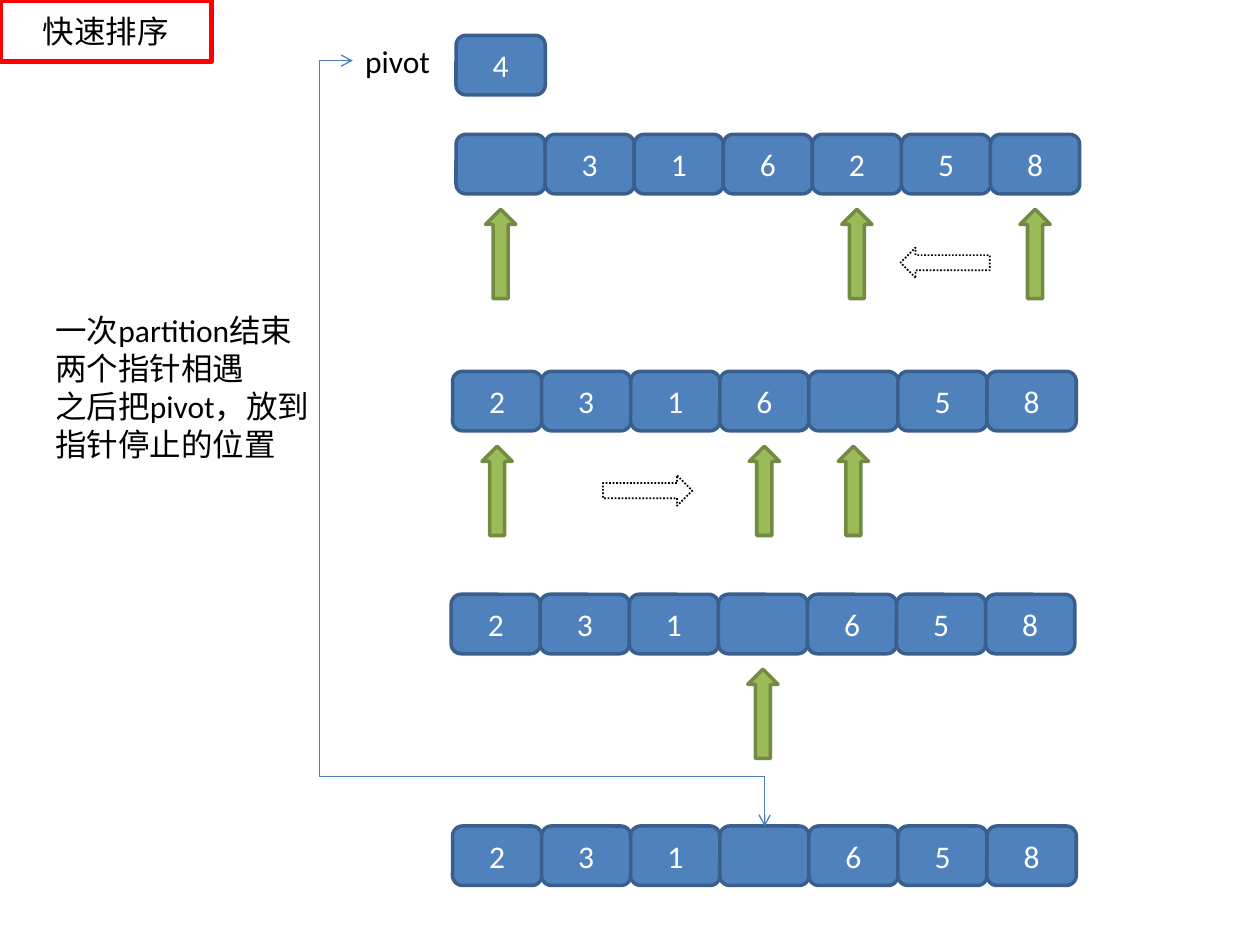
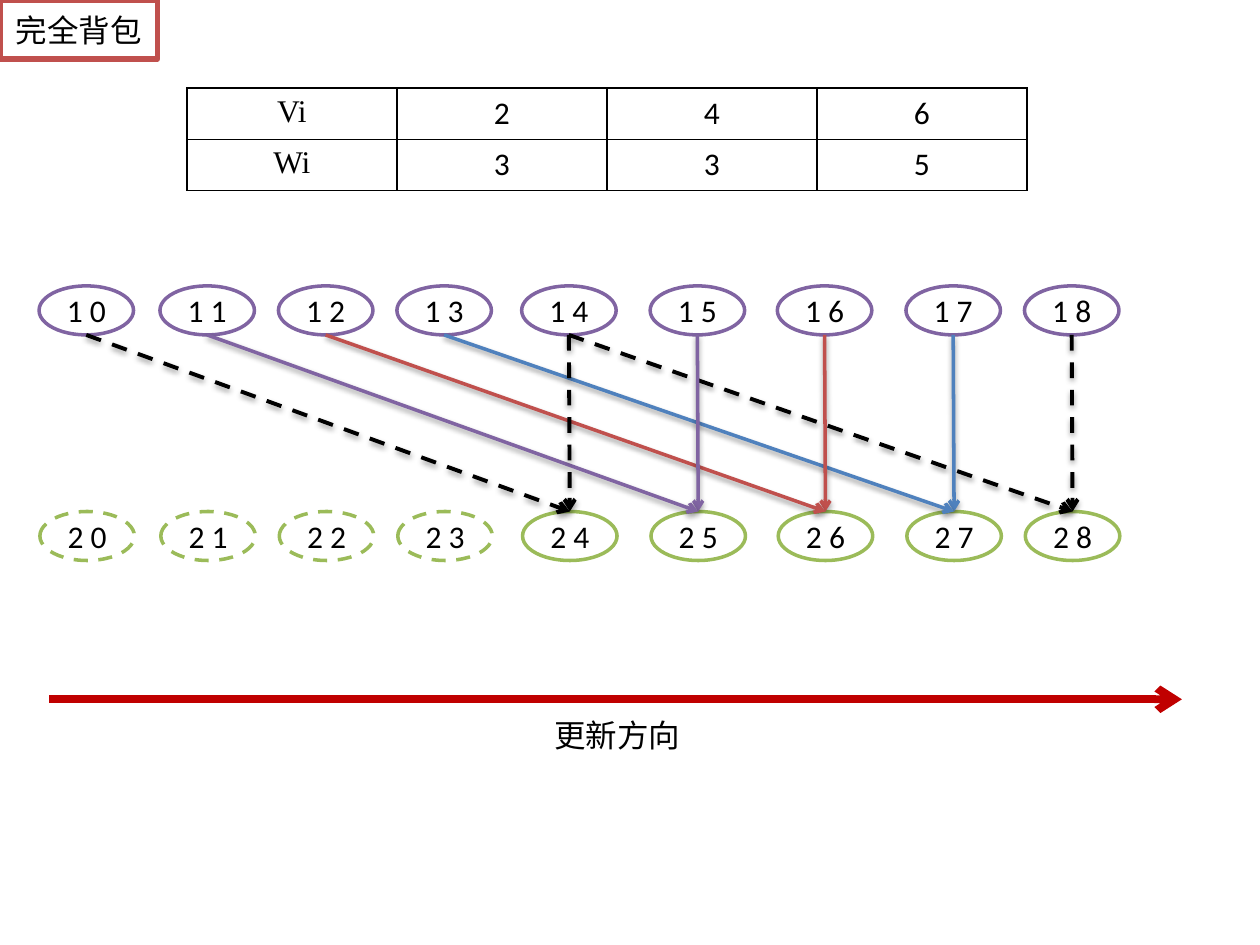
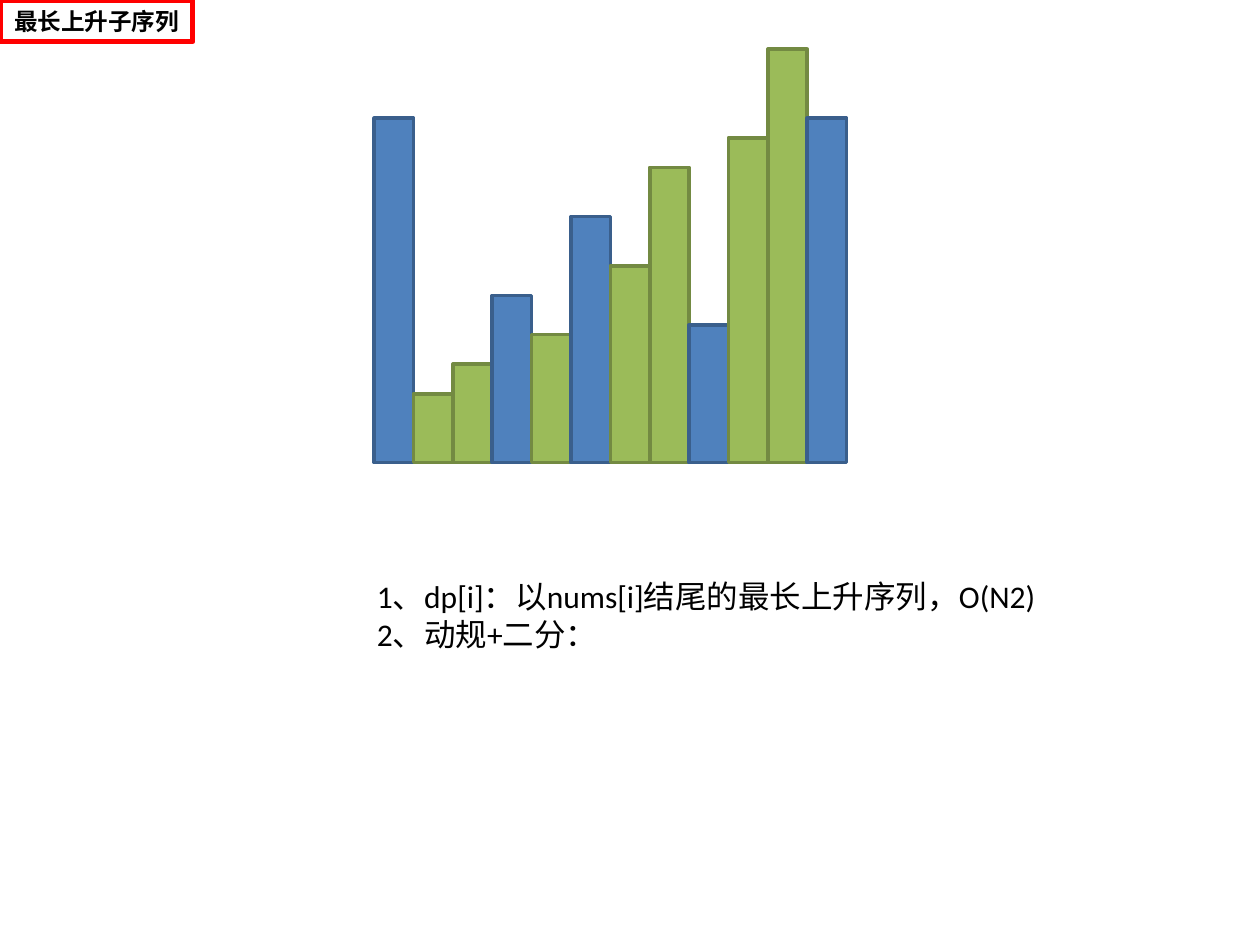
from dataclasses import dataclass

from lxml.etree import SubElement
from pptx import Presentation
from pptx.dml.color import RGBColor
from pptx.enum.dml import MSO_LINE
from pptx.enum.shapes import MSO_CONNECTOR, MSO_SHAPE
from pptx.enum.text import MSO_ANCHOR, MSO_AUTO_SIZE, PP_ALIGN
from pptx.oxml.ns import qn
from pptx.util import Pt


@dataclass(frozen=True)
class Theme:
    black: RGBColor = RGBColor(0, 0, 0)
    white: RGBColor = RGBColor(255, 255, 255)
    red: RGBColor = RGBColor(255, 0, 0)
    dark_red: RGBColor = RGBColor(0xC0, 0, 0)
    brick: RGBColor = RGBColor(0xC0, 0x50, 0x4D)
    blue: RGBColor = RGBColor(0x4F, 0x81, 0xBD)
    blue_edge: RGBColor = RGBColor(0x3A, 0x5F, 0x8C)
    blue_link: RGBColor = RGBColor(0x4B, 0x7E, 0xBC)
    green: RGBColor = RGBColor(0x9B, 0xBB, 0x59)
    green_edge: RGBColor = RGBColor(0x73, 0x8A, 0x42)
    purple: RGBColor = RGBColor(0x80, 0x64, 0xA2)
    latin: str = "Calibri"
    serif: str = "Times New Roman"
    cjk: str = "Noto Sans CJK SC"
    text: float = 18
    small: float = 13.5
    edge: float = 2
    frame: float = 3


T = Theme()
TITLE_AND_BODY, TITLE_ONLY = 1, 5  # layouts of the template

# Sorting row geometry
CELL_W, CELL_H, CELL_STEP = 51, 34, 50.9
POINTER_W, POINTER_H, POINTER_DROP = 17.3, 51, 42.8

# Knapsack state geometry
STATE_W, STATE_H = 54, 28
STATE_LEFTS = (22.3, 91.4, 159.1, 226.8, 298.1, 371.5, 444.2, 517.7, 585.4)
OLD_TOP, NEW_TOP = 163.4, 292.3
ITEM_WEIGHT = 4


# Text
def add_run(paragraph, text, color=T.black, size=T.text, font=T.latin, bold=False):
    run = paragraph.add_run()
    run.text = text
    run.font.name = font
    run.font.size = Pt(size)
    run.font.bold = bold
    run.font.color.rgb = color
    SubElement(run._r.get_or_add_rPr(), qn("a:ea"), typeface=T.cjk)


def place(shape, left, top, width, height):
    shape.left, shape.top = Pt(left), Pt(top)
    shape.width, shape.height = Pt(width), Pt(height)


def set_title(slide, text, width, height, frame_color, **font):
    title = slide.shapes.title
    place(title, 0, 0, width, height)
    title.fill.solid()
    title.fill.fore_color.rgb = T.white
    title.line.color.rgb = frame_color
    title.line.width = Pt(T.frame)
    frame = title.text_frame
    frame.word_wrap = False
    frame.auto_size = MSO_AUTO_SIZE.NONE
    frame.vertical_anchor = MSO_ANCHOR.MIDDLE
    paragraph = frame.paragraphs[0]
    paragraph.alignment = PP_ALIGN.CENTER
    add_run(paragraph, text, **font)


def set_notes_body(slide, lines, left, top, width, height):
    body = slide.placeholders[1]
    place(body, left, top, width, height)
    frame = body.text_frame
    frame.word_wrap = True
    frame.auto_size = MSO_AUTO_SIZE.SHAPE_TO_FIT_TEXT
    for number, line in enumerate(lines):
        paragraph = frame.add_paragraph() if number else frame.paragraphs[0]
        paragraph.space_before = Pt(0)
        properties = paragraph._p.get_or_add_pPr()
        properties.set("marL", "0")
        properties.set("indent", "0")
        SubElement(properties, qn("a:buNone"))
        add_run(paragraph, line)


def add_label(slide, text, left, top, width, height):
    label = slide.shapes.add_textbox(Pt(left), Pt(top), Pt(width), Pt(height))
    label.text_frame.word_wrap = False
    add_run(label.text_frame.paragraphs[0], text)


# Shapes and lines
def add_block(slide, kind, left, top, width, height, fill, edge,
              text="", color=T.black, weight=T.edge, dash=None):
    block = slide.shapes.add_shape(kind, Pt(left), Pt(top), Pt(width), Pt(height))
    block.shadow.inherit = False
    block.fill.solid()
    block.fill.fore_color.rgb = fill
    block.line.color.rgb = edge
    block.line.width = Pt(weight)
    if dash:
        block.line.dash_style = dash
    if text:
        frame = block.text_frame
        frame.word_wrap = False
        frame.vertical_anchor = MSO_ANCHOR.MIDDLE
        frame.paragraphs[0].alignment = PP_ALIGN.CENTER
        add_run(frame.paragraphs[0], text, color)
    return block


def add_arrow(slide, start, end, color, weight, kind=MSO_CONNECTOR.STRAIGHT,
              dash=None, both_ends=False, shadow=False):
    arrow = slide.shapes.add_connector(kind, *map(Pt, start + end))
    arrow.line.color.rgb = color
    arrow.line.width = Pt(weight)
    if dash:
        arrow.line.dash_style = dash
    outline = arrow.line._get_or_add_ln()
    for tag in ("a:headEnd", "a:tailEnd") if both_ends else ("a:tailEnd",):
        SubElement(outline, qn(tag), type="arrow")
    effects = SubElement(arrow._element.spPr, qn("a:effectLst"))
    if shadow:
        outer = SubElement(effects, qn("a:outerShdw"), blurRad="40000",
                           dist="20000", dir="5400000", rotWithShape="0")
        shade = SubElement(outer, qn("a:srgbClr"), val=str(T.black))
        SubElement(shade, qn("a:alpha"), val="38000")
    return arrow


def bend_twice(arrow, across, down):
    """Route an elbow arrow through three bends, at fractions of its size."""
    geometry = arrow._element.spPr.find(qn("a:prstGeom"))
    geometry.set("prst", "bentConnector4")
    guides = geometry.find(qn("a:avLst"))
    if guides is None:
        guides = SubElement(geometry, qn("a:avLst"))
    for name, share in (("adj1", across), ("adj2", down)):
        SubElement(guides, qn("a:gd"), name=name, fmla=f"val {round(share * 100000)}")


# Quick sort parts
def add_number_cell(slide, left, top, number):
    add_block(slide, MSO_SHAPE.ROUNDED_RECTANGLE, left, top, CELL_W, CELL_H,
              T.blue, T.blue_edge, number, T.white)


def add_number_row(slide, left, top, numbers, pointers):
    for index, number in enumerate(numbers):
        add_number_cell(slide, left + index * CELL_STEP, top, number.strip())
    for index in pointers:
        add_block(slide, MSO_SHAPE.UP_ARROW,
                  left + index * CELL_STEP + (CELL_W - POINTER_W) / 2,
                  top + POINTER_DROP, POINTER_W, POINTER_H, T.green, T.green_edge)


def add_scan_arrow(slide, left, top, rotation):
    scan = add_block(slide, MSO_SHAPE.UP_ARROW, left, top, POINTER_W, POINTER_H,
                     T.white, T.black, weight=1, dash=MSO_LINE.ROUND_DOT)
    scan.rotation = rotation


def build_quick_sort(slide):
    set_title(slide, "快速排序", 121, 35.3, T.red)
    add_label(slide, "pivot", 201.6, 20.2, 51.8, 28.8)
    add_number_cell(slide, 260.6, 20.2, "4")
    # A blank stands for the open slot
    for left, top, numbers, pointers in (
        (260.6, 76.8, " 316258", (0, 4, 6)),
        (258.6, 212.2, "2316 58", (0, 3, 4)),
        (257.8, 339.6, "231 658", (3,)),
        (258.6, 472, "231 658", ()),
    ):
        add_number_row(slide, left, top, numbers, pointers)
    add_scan_arrow(slide, 531.4, 124.6, 270)
    add_scan_arrow(slide, 361.4, 254.9, 90)
    pivot_return = add_arrow(slide, (201.6, 34.6), (437, 472.3), T.blue_link, 0.75,
                             MSO_CONNECTOR.ELBOW, both_ends=True)
    bend_twice(pivot_return, -0.08, 0.935)
    set_notes_body(slide, ("一次partition结束", "两个指针相遇",
                           "之后把pivot，放到", "指针停止的位置"),
                   24.5, 174.2, 159.8, 94.3)


# Knapsack parts
def add_item_table(slide, rows, left, top, column_width, row_height):
    columns = len(rows[0])
    table = slide.shapes.add_table(
        len(rows), columns, Pt(left), Pt(top),
        Pt(column_width * columns), Pt(row_height * len(rows))).table
    table.first_row = table.horz_banding = False
    for r, row in enumerate(rows):
        for c, value in enumerate(row):
            cell = table.cell(r, c)
            cell.fill.background()
            paragraph = cell.text_frame.paragraphs[0]
            paragraph.alignment = PP_ALIGN.CENTER
            add_run(paragraph, value, font=T.latin if c else T.serif)
            add_cell_borders(cell)


def add_cell_borders(cell):
    properties = cell._tc.get_or_add_tcPr()
    for position, tag in enumerate(("a:lnL", "a:lnR", "a:lnT", "a:lnB")):
        border = SubElement(properties, qn(tag), w=str(Pt(1)))
        paint = SubElement(border, qn("a:solidFill"))
        SubElement(paint, qn("a:srgbClr"), val=str(T.black))
        properties.insert(position, border)  # borders come before the fill


def build_knapsack(slide):
    set_title(slide, "完全背包", 90, 33.8, T.brick)
    add_item_table(slide, (("Vi", "2", "4", "6"), ("Wi", "3", "3", "5")),
                   106.8, 50.4, 120, 29.3)
    # States before and after the item
    for column, left in enumerate(STATE_LEFTS):
        dash = MSO_LINE.DASH if column < ITEM_WEIGHT else None
        add_block(slide, MSO_SHAPE.OVAL, left, OLD_TOP, STATE_W, STATE_H,
                  T.white, T.purple, f"1 {column}")
        add_block(slide, MSO_SHAPE.OVAL, left + 0.5, NEW_TOP, STATE_W, STATE_H,
                  T.white, T.green, f"2 {column}", dash=dash)
    # Each new state depends on two old ones
    link_colors = (T.black, T.purple, T.brick, T.blue)
    centers = [left + STATE_W / 2 for left in STATE_LEFTS]
    for target in reversed(range(ITEM_WEIGHT, len(centers))):
        color = link_colors[target % ITEM_WEIGHT]
        dashed = color == T.black
        for source in (target, target - ITEM_WEIGHT):
            add_arrow(slide, (centers[source], OLD_TOP + STATE_H),
                      (centers[target] + 0.5, NEW_TOP), color,
                      2.25 if dashed else T.edge,
                      dash=MSO_LINE.DASH if dashed else None, shadow=True)
    # Update direction
    add_arrow(slide, (28.1, 399.6), (675.4, 399.6), T.dark_red, 4.5)
    add_label(slide, "更新方向", 309.6, 405.4, 87.1, 28.8)


# Rising subsequence parts
def build_rising_subsequence(slide):
    set_title(slide, "最长上升子序列", 110.2, 23.8, T.red,
              size=T.small, font=T.cjk, bold=True)
    heights = (35, 7, 10, 17, 13, 25, 20, 30, 14, 33, 42, 35)
    rising = {1, 2, 4, 6, 7, 9, 10}
    left, base, bar_width, unit = 213.8, 264.4, 22.5, 5.625
    for index, height in enumerate(heights):
        fill, edge = ((T.green, T.green_edge) if index in rising
                      else (T.blue, T.blue_edge))
        add_block(slide, MSO_SHAPE.RECTANGLE, left + index * bar_width,
                  base - height * unit, bar_width, height * unit, fill, edge)
    set_notes_body(slide, ("1、dp[i]：以nums[i]结尾的最长上升序列，O(N2)",
                           "2、动规+二分："), 208.1, 326.2, 394.6, 51.1)


def main():
    deck = Presentation()
    deck.slide_width, deck.slide_height = Pt(720), Pt(540)
    for layout, build in ((TITLE_AND_BODY, build_quick_sort),
                          (TITLE_ONLY, build_knapsack),
                          (TITLE_AND_BODY, build_rising_subsequence)):
        build(deck.slides.add_slide(deck.slide_layouts[layout]))
    deck.save("out.pptx")


main()
